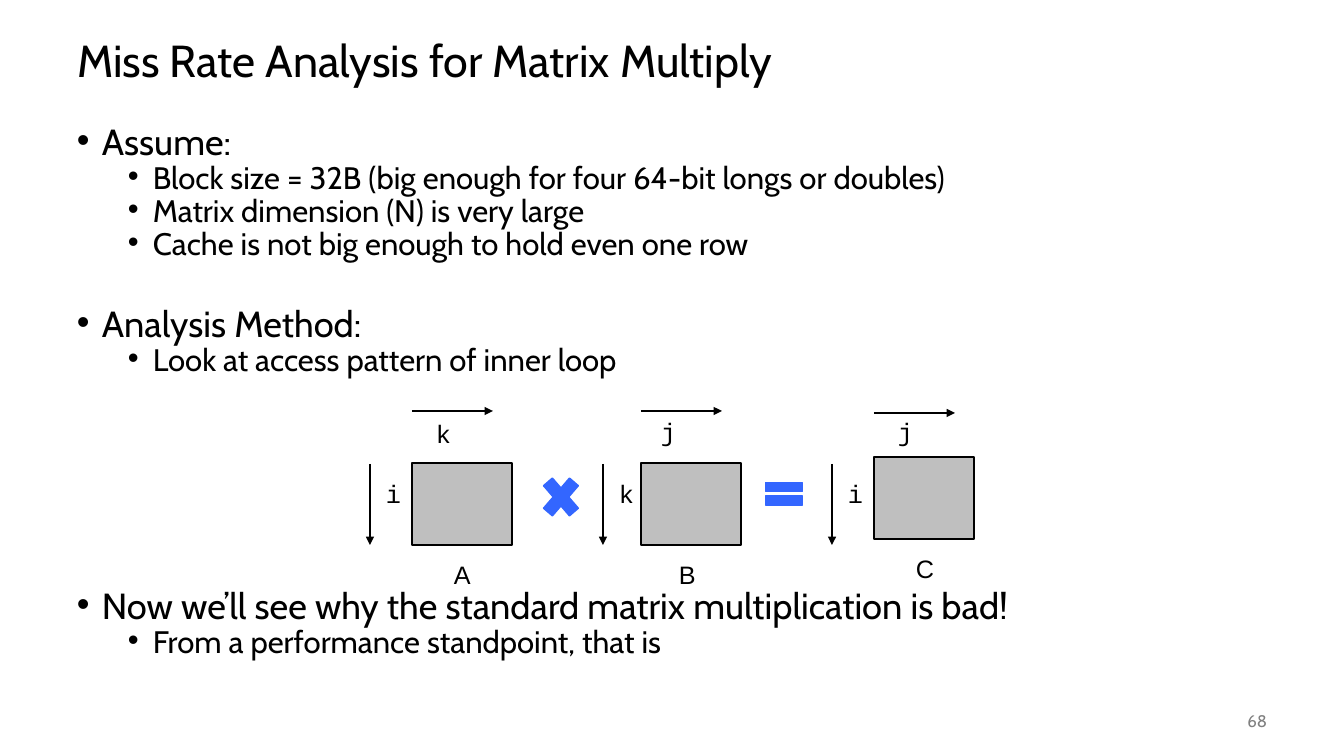
from dataclasses import dataclass

from lxml.etree import SubElement
from pptx import Presentation
from pptx.dml.color import RGBColor
from pptx.enum.shapes import MSO_CONNECTOR, MSO_SHAPE
from pptx.enum.text import MSO_ANCHOR, MSO_AUTO_SIZE, PP_ALIGN
from pptx.oxml.ns import qn
from pptx.util import Emu, Pt


@dataclass(frozen=True)
class Theme:
    body_font: str = "Cabin"
    name_font: str = "Arial"
    code_font: str = "Courier New"
    ink: str = "000000"
    paper: str = "FFFFFF"
    matrix: str = "BFBFBF"
    operator: str = "3366FF"
    muted: str = "808080"
    title_size: float = 32
    topic_size: float = 25.9
    detail_size: float = 22.2
    label_size: float = 18
    number_size: float = 12


@dataclass(frozen=True)
class Matrix:
    name: str
    row_index: str
    column_index: str
    left: int
    top: int
    arrow_top: int
    label_top: int
    label_shift: int


THEME = Theme()
TOPICS = [
    (126, "Assume:", [
        "Block size = 32B (big enough for four 64-bit longs or doubles)",
        "Matrix dimension (N) is very large",
        "Cache is not big enough to hold even one row",
    ]),
    (308, "Analysis Method:", ["Look at access pattern of inner loop"]),
    (590, "Now we’ll see why the standard matrix multiplication is bad!",
     ["From a performance standpoint, that is"]),
]
MATRICES = [
    Matrix("A", "i", "k", 412, 463, 411, 413, 0),
    Matrix("B", "k", "j", 641, 463, 411, 411, -4),
    Matrix("C", "i", "j", 874, 457, 413, 411, 0),
]
OPERATORS = [
    (MSO_SHAPE.MATH_MULTIPLY, (536, 468, 50, 58)),
    (MSO_SHAPE.MATH_EQUAL, (759, 475, 50, 38)),
]


def px(length):
    return Emu(round(length * 914400 / 100.8))


def place(box):
    return [px(length) for length in box]


def color(value):
    return RGBColor.from_string(value)


def style(paragraph, font_name, size, ink=THEME.ink):
    paragraph.font.name = font_name
    paragraph.font.size = Pt(size)
    paragraph.font.color.rgb = color(ink)


def add_filled(shapes, kind, box, fill, line=None):
    shape = shapes.add_shape(kind, *place(box))
    shape.shadow.inherit = False
    shape.fill.solid()
    shape.fill.fore_color.rgb = color(fill)
    if line:
        shape.line.color.rgb = color(line)
        shape.line.width = Pt(1)
    else:
        shape.line.fill.background()
    return shape


def add_arrow(shapes, start, end):
    arrow = shapes.add_connector(MSO_CONNECTOR.STRAIGHT, *place(start + end))
    arrow.line.color.rgb = color(THEME.ink)
    arrow.line.width = Pt(2)
    SubElement(arrow.line._get_or_add_ln(), qn("a:tailEnd"), type="triangle")
    SubElement(arrow._element.spPr, qn("a:effectLst"))


def write_label(shape, text, font_name):
    frame = shape.text_frame
    frame.word_wrap = False
    frame.vertical_anchor = MSO_ANCHOR.TOP
    paragraph = frame.paragraphs[0]
    paragraph.text = text
    paragraph.alignment = PP_ALIGN.LEFT
    style(paragraph, font_name, THEME.label_size)


def add_title(slide, box, text):
    title = slide.shapes.title
    title.left, title.top, title.width, title.height = place(box)
    frame = title.text_frame
    frame.text = text
    frame.auto_size = MSO_AUTO_SIZE.NONE
    frame.vertical_anchor = MSO_ANCHOR.MIDDLE
    paragraph = frame.paragraphs[0]
    paragraph.alignment = PP_ALIGN.LEFT
    paragraph.line_spacing = 0.9
    style(paragraph, THEME.body_font, THEME.title_size)


def add_topic(slide, box, topic, details):
    frame = slide.shapes.add_textbox(*place(box)).text_frame
    frame.word_wrap = True
    for index, text in enumerate([topic] + details):
        paragraph = frame.paragraphs[0] if index == 0 else frame.add_paragraph()
        paragraph.text = text
        paragraph.level = 1 if index else 0
        paragraph.line_spacing = 0.7
        paragraph.space_before = Pt(5 if index else 0)
        properties = paragraph._p.get_or_add_pPr()
        properties.set("marL", str(px(76 if index else 25)))
        properties.set("indent", str(px(-25)))
        SubElement(properties, qn("a:buFont"), typeface=THEME.name_font)
        SubElement(properties, qn("a:buChar"), char="•")
        style(paragraph, THEME.body_font,
              THEME.detail_size if index else THEME.topic_size)


def add_matrix(slide, box, matrix):
    left, top, width, height = box
    shift = matrix.label_shift
    side = left - 42 - shift
    shapes = slide.shapes.add_group_shape().shapes
    for text, label_left, label_top in (
        (matrix.column_index, left + 14 + shift, matrix.label_top),
        (matrix.row_index, side + 6, 473),
    ):
        label = add_filled(shapes, MSO_SHAPE.RECTANGLE,
                           (label_left, label_top, 35, 40), THEME.paper)
        write_label(label, text, THEME.code_font)
    add_filled(shapes, MSO_SHAPE.RECTANGLE, box, THEME.matrix, THEME.ink)
    name = shapes.add_textbox(*place((left + 32 + shift, top + height + 9, 37, 40)))
    write_label(name, matrix.name, THEME.name_font)
    add_arrow(shapes, (left, matrix.arrow_top), (left + 81, matrix.arrow_top))
    add_arrow(shapes, (side, 464), (side, 545))


def add_slide_number(slide, box, text):
    frame = slide.shapes.add_textbox(*place(box)).text_frame
    frame.word_wrap = True
    frame.vertical_anchor = MSO_ANCHOR.MIDDLE
    paragraph = frame.paragraphs[0]
    paragraph.text = text
    paragraph.alignment = PP_ALIGN.RIGHT
    style(paragraph, THEME.body_font, THEME.number_size, THEME.muted)


def main():
    presentation = Presentation()
    presentation.slide_width, presentation.slide_height = px(1344), px(756)
    slide = presentation.slides.add_slide(presentation.slide_layouts[5])
    add_title(slide, (67, 25, 1210, 76), "Miss Rate Analysis for Matrix Multiply")
    for top, topic, details in TOPICS:
        add_topic(slide, (67, top, 1210, 46 + 33 * len(details)), topic, details)
    for matrix in MATRICES:
        add_matrix(slide, (matrix.left, matrix.top, 100, 82), matrix)
    for kind, box in OPERATORS:
        add_filled(slide.shapes, kind, box, THEME.operator, THEME.operator)
    add_slide_number(slide, (1176, 701, 101, 40), "68")
    presentation.save("out.pptx")


if __name__ == "__main__":
    main()
